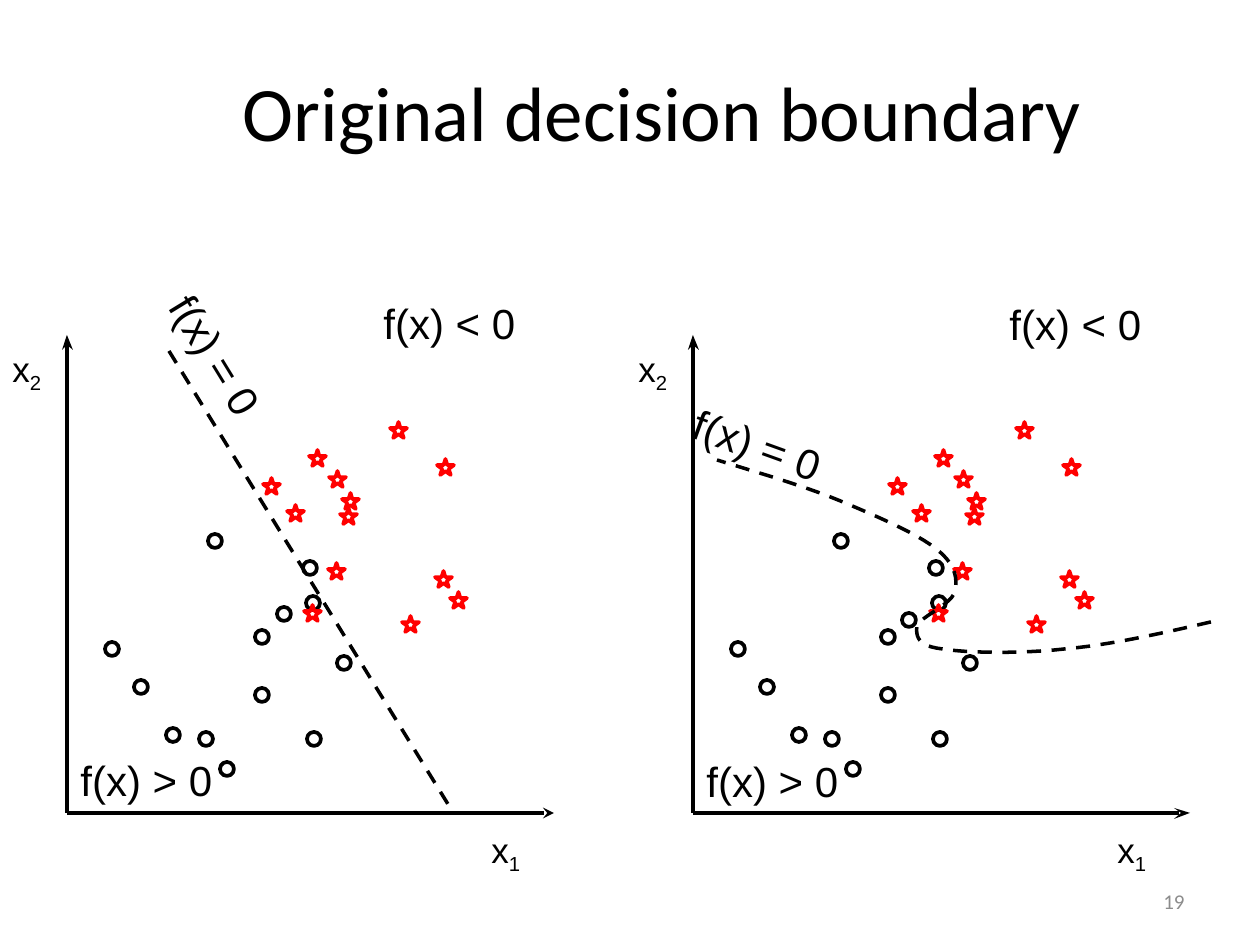
import pptx
import pptx.dml.color
import pptx.enum.dml
import pptx.enum.shapes
import pptx.enum.text
import pptx.oxml.ns
import pptx.util
from lxml import etree

EMU_PER_PX = 914400 / 126
SHAPES = pptx.enum.shapes.MSO_SHAPE
ALIGN = pptx.enum.text.PP_ALIGN
ANCHOR = pptx.enum.text.MSO_ANCHOR
BLACK, WHITE, RED, GREY = "000000", "FFFFFF", "FF0000", "8C8C8C"
PLOT_SHIFT = 626
CIRCLES = [(220, 762), (199, 732), (307, 732), (166, 728), (134, 680), (105, 642),
           (255, 688), (306, 596), (337, 656), (303, 561), (255, 630), (208, 534)]
STARS = [(304, 605), (435, 571), (402, 616), (287, 505), (450, 592), (329, 471), (328, 563),
         (340, 508), (263, 478), (309, 450), (390, 422), (342, 493), (437, 459)]
BOUNDARY = [(1211, 622), (1159, 634), (1110, 645), (1065, 649), (1021, 654), (966, 653),
            (942, 649), (917, 646), (916, 636), (917, 626), (920, 617), (953, 604),
            (955, 591), (958, 578), (955, 563), (935, 548), (916, 533), (874, 515),
            (838, 500), (801, 485), (759, 473), (717, 460)]


def px(length):
    """Turn pixels into EMU."""
    return pptx.util.Emu(round(length * EMU_PER_PX))


def color(value):
    """Turn a hex string into a colour."""
    return pptx.dml.color.RGBColor.from_string(value)


def style_line(line, ink, width=2.13, dashed=False):
    """Set colour, width and dash of a line."""
    line.color.rgb = color(ink)
    line.width = pptx.util.Pt(width)
    if dashed:
        line.dash_style = pptx.enum.dml.MSO_LINE.DASH


def add_marker(page, kind, left, top, width, height, ink, fill=None):
    """Add one data point."""
    marker = page.shapes.add_shape(kind, px(left), px(top), px(width), px(height))
    marker.shadow.inherit = False
    if fill:
        marker.fill.solid()
        marker.fill.fore_color.rgb = color(fill)
    else:
        marker.fill.background()
    style_line(marker.line, ink)


def add_line(page, start, end, width=2.13, dashed=False, arrow=False):
    """Add a straight line, with a stealth head at its end if asked."""
    line = page.shapes.add_connector(pptx.enum.shapes.MSO_CONNECTOR.STRAIGHT,
                                     *map(px, start + end))
    style_line(line.line, BLACK, width, dashed)
    if arrow:
        outline = line.line._get_or_add_ln()
        etree.SubElement(outline, pptx.oxml.ns.qn("a:tailEnd"), type="stealth")
    etree.SubElement(line._element.spPr, pptx.oxml.ns.qn("a:effectLst"))


def add_outline(page, points, close):
    """Add a freeform through the points."""
    first, *rest = [(px(x), px(y)) for x, y in points]
    builder = page.shapes.build_freeform(*first)
    builder.add_line_segments(rest, close=close)
    outline = builder.convert_to_shape()
    outline.shadow.inherit = False
    return outline


def add_arrowhead(page, points):
    """Add a solid arrowhead."""
    head = add_outline(page, points, True)
    head.fill.solid()
    head.fill.fore_color.rgb = color(BLACK)
    head.line.fill.background()


def bezier_points(controls, steps=12):
    """Sample a chain of cubic curves."""
    points = [controls[0]]
    for index in range(0, len(controls) - 1, 3):
        piece = controls[index:index + 4]
        for step in range(1, steps + 1):
            t = step / steps
            weights = ((1 - t) ** 3, 3 * t * (1 - t) ** 2, 3 * t * t * (1 - t), t ** 3)
            points.append(tuple(sum(w * p[axis] for w, p in zip(weights, piece))
                                for axis in (0, 1)))
    return points


def add_curve(page, controls):
    """Add a dashed smooth curve."""
    curve = add_outline(page, bezier_points(controls), False)
    curve.fill.background()
    style_line(curve.line, BLACK, 2, True)


def add_text(page, text, left, top, width, height, size=24, font="Arial", ink=BLACK,
             align=ALIGN.LEFT, anchor=ANCHOR.TOP, wrap=True, rotation=0, subscript=""):
    """Add a one-line text box, with an optional subscript."""
    box = page.shapes.add_textbox(px(left), px(top), px(width), px(height))
    box.rotation = rotation
    frame = box.text_frame
    frame.word_wrap = wrap
    frame.vertical_anchor = anchor
    para = frame.paragraphs[0]
    para.alignment = align
    para.font.size = pptx.util.Pt(size)
    para.font.name = font
    para.font.color.rgb = color(ink)
    para.add_run().text = text
    if subscript:
        span = para.add_run()
        span.text = subscript
        span._r.get_or_add_rPr().set("baseline", "-25000")


def add_plot(page, shift, moved_circle, label_drop):
    """Add the points, axes and labels that both plots share."""
    for left, top in CIRCLES + [moved_circle]:
        add_marker(page, SHAPES.OVAL, left + shift, top, 14, 14, BLACK, WHITE)
    for left, top in STARS:
        add_marker(page, SHAPES.STAR_5_POINT, left + shift, top, 17, 16, RED)
    axis = 67 + shift
    add_line(page, (axis, 813), (axis, 345))
    add_arrowhead(page, [(axis - 5, 350), (axis, 335), (axis + 6, 350), (axis, 345)])
    add_text(page, "x", 479 + shift, 822, 96, 54, size=20, subscript="1")
    add_text(page, "x", shift, 341, 62, 54, size=20, subscript="2")
    add_text(page, "f(x) > 0", 68 + shift, 748 + label_drop, 160, 63, wrap=False)
    add_text(page, "f(x) < 0", 371 + shift, 291 + label_drop, 160, 63, wrap=False)


def main():
    """Build the slide."""
    deck = pptx.Presentation()
    deck.slide_width, deck.slide_height = px(1260), px(945)
    page = deck.slides.add_slide(deck.slide_layouts[6])
    add_text(page, "Original decision boundary", 127, 32, 1071, 158, size=44,
             font="Calibri", align=ALIGN.CENTER, anchor=ANCHOR.MIDDLE)

    add_plot(page, PLOT_SHIFT, (276, 613), 1)
    add_line(page, (693, 813), (1179, 813))
    add_arrowhead(page, [(1174, 808), (1190, 813), (1174, 819), (1181, 813)])
    add_curve(page, BOUNDARY)
    add_text(page, "f(x) = 0", 669, 470, 494, 63, rotation=19.9)

    add_plot(page, 0, (277, 607), 0)
    add_line(page, (67, 813), (554, 813), arrow=True)
    add_line(page, (169, 351), (451, 809), width=2, dashed=True)
    add_text(page, "f(x) = 0", 57, 467, 494, 63, rotation=58.5)

    add_text(page, "19", 903, 876, 294, 50, size=12, font="Calibri", ink=GREY,
             align=ALIGN.RIGHT, anchor=ANCHOR.MIDDLE)
    deck.save("out.pptx")


if __name__ == "__main__":
    main()
